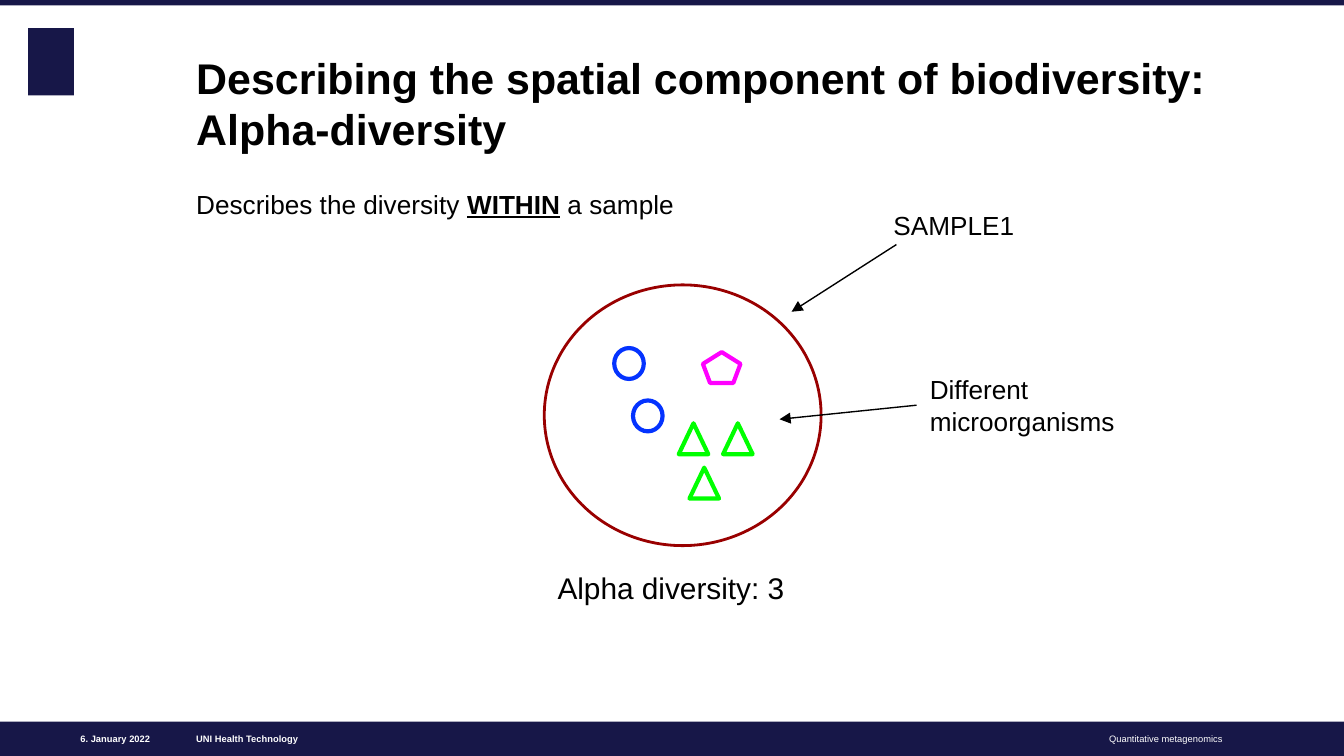
from dataclasses import dataclass

from lxml.etree import SubElement
from pptx import Presentation
from pptx.dml.color import RGBColor
from pptx.enum.shapes import MSO_CONNECTOR as Connector, MSO_SHAPE as Shape
from pptx.enum.text import MSO_ANCHOR as Anchor, MSO_AUTO_SIZE as AutoSize, PP_ALIGN as Align
from pptx.oxml.ns import qn
from pptx.util import Inches, Pt


@dataclass(frozen=True)
class Theme:
    font: str = "Arial"
    navy: str = "171748"
    white: str = "FFFFFF"
    black: str = "000000"
    dark_red: str = "990000"
    blue: str = "0433FF"
    magenta: str = "FF00FF"
    green: str = "00FF00"
    title_size: float = 23
    caption_size: float = 16
    body_size: float = 14
    footer_size: float = 5
    sample_line: float = 1.5
    organism_line: float = 2.25
    arrow_line: float = 0.75


THEME = Theme()


def color(value):
    return RGBColor.from_string(value)


def place(box, left, top, width, height):
    box.left, box.top = Inches(left), Inches(top)
    box.width, box.height = Inches(width), Inches(height)


def write(box, *parts, size, ink=THEME.black, bold=False, align=Align.LEFT,
          anchor=Anchor.TOP, inset=0.0, space_before=0):
    frame = box.text_frame
    frame.word_wrap = True
    frame.auto_size = AutoSize.NONE
    frame.vertical_anchor = anchor
    frame.margin_left = frame.margin_right = Inches(inset)
    frame.margin_top = frame.margin_bottom = Inches(inset)
    para = frame.paragraphs[0]
    para.alignment = align
    para.space_before = Pt(space_before)
    for text, emphasis in parts:
        for index, line in enumerate(text.split("\n")):
            if index:
                para.add_line_break()
            span = para.add_run()
            span.text = line
            span.font.name = THEME.font
            span.font.size = Pt(size)
            span.font.color.rgb = color(ink)
            span.font.bold = bold or emphasis
            span.font.underline = emphasis


def add_text(page, area, *parts, **style):
    box = page.shapes.add_textbox(*map(Inches, area))
    write(box, *parts, **style)
    return box


def add_label(page, area, text, size=THEME.body_size):
    return add_text(page, area, (text, False), size=size, inset=0.1)


def add_figure(page, kind, area, fill=THEME.white, line=None, weight=0):
    figure = page.shapes.add_shape(kind, *map(Inches, area))
    figure.shadow.inherit = False
    figure.fill.solid()
    figure.fill.fore_color.rgb = color(fill)
    if line:
        figure.line.color.rgb = color(line)
        figure.line.width = Pt(weight)
    else:
        figure.line.fill.background()
    return figure


def add_arrow(page, start, end, source=None):
    arrow = page.shapes.add_connector(Connector.STRAIGHT, *map(Inches, start + end))
    if source is not None:
        arrow.begin_connect(source, 1)
    arrow.line.color.rgb = color(THEME.black)
    arrow.line.width = Pt(THEME.arrow_line)
    SubElement(arrow.line._get_or_add_ln(), qn("a:tailEnd"), type="triangle")
    SubElement(arrow._element.spPr, qn("a:effectLst"))


def add_frame(page):
    add_figure(page, Shape.RECTANGLE, (0.21, 0.21, 0.34, 0.5), THEME.navy)
    add_figure(page, Shape.RECTANGLE, (0, 0, 10, 0.04), THEME.navy)
    add_figure(page, Shape.RECTANGLE, (0, 5.37, 10, 0.26), THEME.navy)
    for left, width, text, bold, align in (
        (1.46, 2.79, "UNI Health Technology", True, Align.LEFT),
        (0.21, 0.91, "6. January 2022", True, Align.RIGHT),
        (4.59, 4.51, "Quantitative metagenomics", False, Align.RIGHT),
    ):
        add_text(page, (left, 5.37, width, 0.26), (text, False), size=THEME.footer_size,
                 ink=THEME.white, bold=bold, align=align, anchor=Anchor.MIDDLE)


def add_title(page, text):
    title = page.shapes.title
    place(title, 1.46, 0.35, 7.64, 0.8)
    write(title, (text, False), size=THEME.title_size, bold=True, anchor=Anchor.BOTTOM)


def add_sample(page):
    add_figure(page, Shape.OVAL, (4.05, 2.12, 2.06, 1.94),
               line=THEME.dark_red, weight=THEME.sample_line)
    for kind, line, width, corners in (
        (Shape.OVAL, THEME.blue, 0.22, ((4.57, 2.59), (4.71, 2.98))),
        (Shape.REGULAR_PENTAGON, THEME.magenta, 0.28, ((5.23, 2.62),)),
        (Shape.FLOWCHART_EXTRACT, THEME.green, 0.22,
         ((5.38, 3.15), (5.05, 3.15), (5.13, 3.48))),
    ):
        for left, top in corners:
            add_figure(page, kind, (left, top, width, 0.23),
                       line=line, weight=THEME.organism_line)


def main():
    deck = Presentation()
    deck.slide_width, deck.slide_height = Inches(10), Inches(10 * 9 / 16)
    page = deck.slides.add_slide(deck.slide_layouts[5])

    add_frame(page)
    add_title(page, "Describing the spatial component of biodiversity:\nAlpha-diversity")
    add_text(page, (1.46, 1.4, 7.64, 3.73), ("Describes the diversity ", False),
             ("WITHIN", True), (" a sample", False), size=THEME.body_size, space_before=3)
    add_sample(page)
    add_label(page, (4.05, 4.14, 3.05, 0.47), "Alpha diversity: 3", THEME.caption_size)
    add_label(page, (6.55, 1.46, 1.54, 0.44), "SAMPLE1")
    organisms = add_label(page, (6.82, 2.68, 1.96, 0.67), "Different microorganisms")
    add_arrow(page, (6.82, 3), (5.8, 3.12), source=organisms)
    add_arrow(page, (6.67, 1.82), (5.89, 2.32))

    deck.save("out.pptx")


if __name__ == "__main__":
    main()
